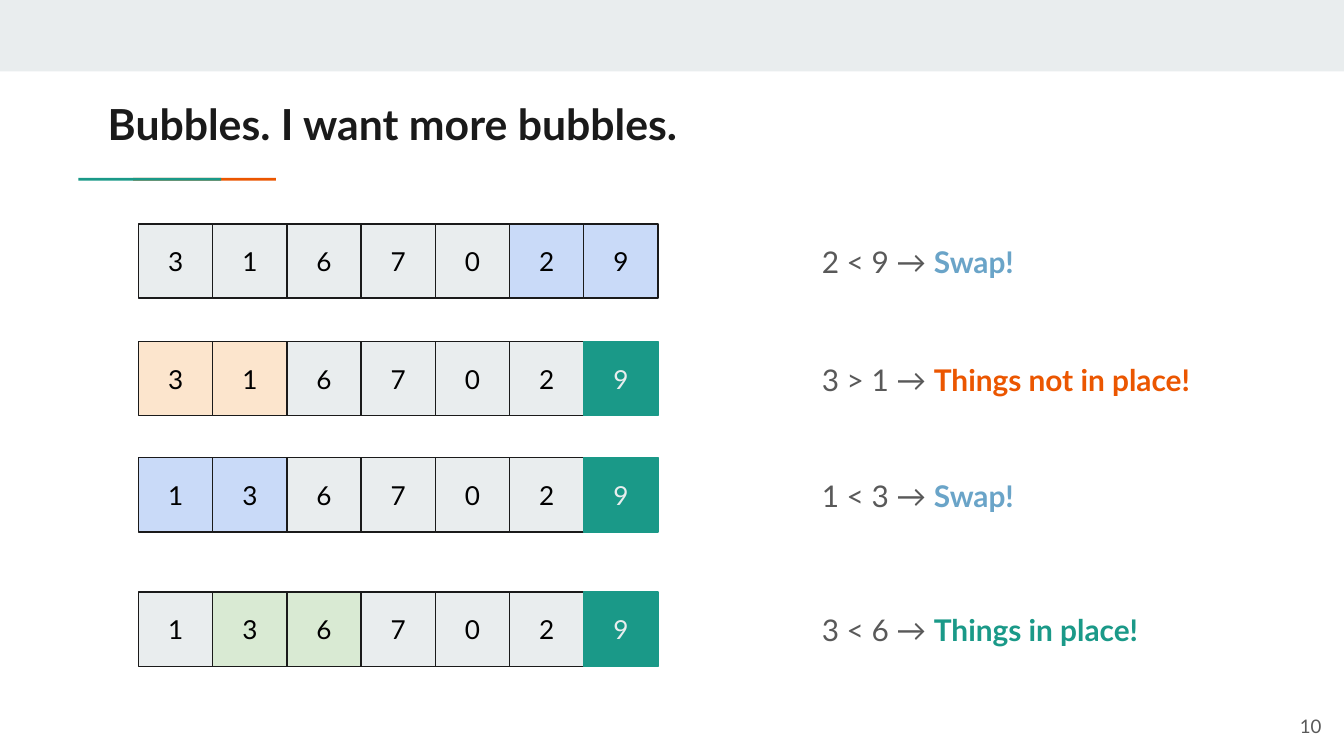
from pptx import Presentation
from pptx.dml.color import RGBColor as RGB
from pptx.enum.shapes import MSO_SHAPE as Kind
from pptx.enum.text import MSO_ANCHOR as Anchor, PP_ALIGN as Align
from pptx.util import Pt

PX = 9525
WIDE, HIGH = 960, 540
FONT = "Lato"
PAD = 10

INK = RGB(0x1A, 0x1A, 0x1A)
BLACK = RGB(0x00, 0x00, 0x00)
GRAY = RGB(0x59, 0x59, 0x59)
PALE = RGB(0xE9, 0xED, 0xEE)
TEAL = RGB(0x1A, 0x99, 0x88)
RUST = RGB(0xEB, 0x56, 0x00)
BLUE = RGB(0x6A, 0xA4, 0xC8)
SKY = RGB(0xC9, 0xDA, 0xF8)
PEACH = RGB(0xFC, 0xE5, 0xCD)
MINT = RGB(0xD9, 0xEA, 0xD3)

LEFT, CELL = 99, 53
NOTE, DROP = 577, 4

ROWS = [
    (160, "3167029", (5, 6), SKY, False, "2 < 9 → ", "Swap!", BLUE),
    (244, "3167029", (0, 1), PEACH, True, "3 > 1 → ", "Things not in place!", RUST),
    (327, "1367029", (0, 1), SKY, True, "1 < 3 → ", "Swap!", BLUE),
    (423, "1367029", (1, 2), MINT, True, "3 < 6 → ", "Things in place!", TEAL),
]


class Deck:
    def __init__(self):
        self.show = Presentation()
        self.show.slide_width = WIDE * PX
        self.show.slide_height = HIGH * PX
        self.slide = self.show.slides.add_slide(self.show.slide_layouts[6])

    def style(self, run, size, color, bold=False):
        run.font.name = FONT
        run.font.size = Pt(size)
        run.font.color.rgb = color
        run.font.bold = bold

    def frame(self, shape, anchor, side=PAD):
        frame = shape.text_frame
        frame.word_wrap = True
        frame.vertical_anchor = anchor
        frame.margin_left = frame.margin_right = side * PX
        frame.margin_top = frame.margin_bottom = PAD * PX
        return frame

    def rect(self, x, y, w, h, fill, line=None):
        shape = self.slide.shapes.add_shape(Kind.RECTANGLE, x * PX, y * PX, w * PX, h * PX)
        shape.shadow.inherit = False
        shape.fill.solid()
        shape.fill.fore_color.rgb = fill
        if line is None:
            shape.line.fill.background()
        else:
            shape.line.color.rgb = line
            shape.line.width = Pt(0.75)
        return shape

    def cell(self, x, y, text, fill, line, color):
        frame = self.frame(self.rect(x, y, CELL, CELL, fill, line), Anchor.MIDDLE)
        frame.text = text
        para = frame.paragraphs[0]
        para.alignment = Align.CENTER
        self.style(para.runs[0], 14, color)

    def text(self, x, y, w, h, parts, size, anchor=Anchor.TOP, align=Align.LEFT, side=PAD):
        box = self.slide.shapes.add_textbox(x * PX, y * PX, w * PX, h * PX)
        para = self.frame(box, anchor, side).paragraphs[0]
        para.alignment = align
        for words, color, bold in parts:
            run = para.add_run()
            run.text = words
            self.style(run, size, color, bold)

    def row(self, y, nums, pair, tint, done, test, verdict, color):
        for i, num in enumerate(nums):
            x = LEFT + i * CELL
            if done and i == len(nums) - 1:
                self.cell(x, y, num, TEAL, TEAL, PALE)
            else:
                self.cell(x, y, num, tint if i in pair else PALE, INK, BLACK)
        self.text(NOTE, y + DROP, 320, 45, [(test, GRAY, False), (verdict, color, True)], 16)


def main():
    deck = Deck()
    deck.rect(0, 0, WIDE, 51, PALE)
    deck.rect(95, 127, 102, 2, RUST)
    deck.rect(56, 127, 102, 2, TEAL)
    deck.text(77, 60, 807, 57, [("Bubbles. I want more bubbles.", INK, True)], 22.9, side=0)
    deck.text(897, 498, 57, 41, [("10", GRAY, False)], 10, Anchor.MIDDLE, Align.RIGHT)
    for row in ROWS:
        deck.row(*row)
    deck.show.save("out.pptx")


if __name__ == "__main__":
    main()
